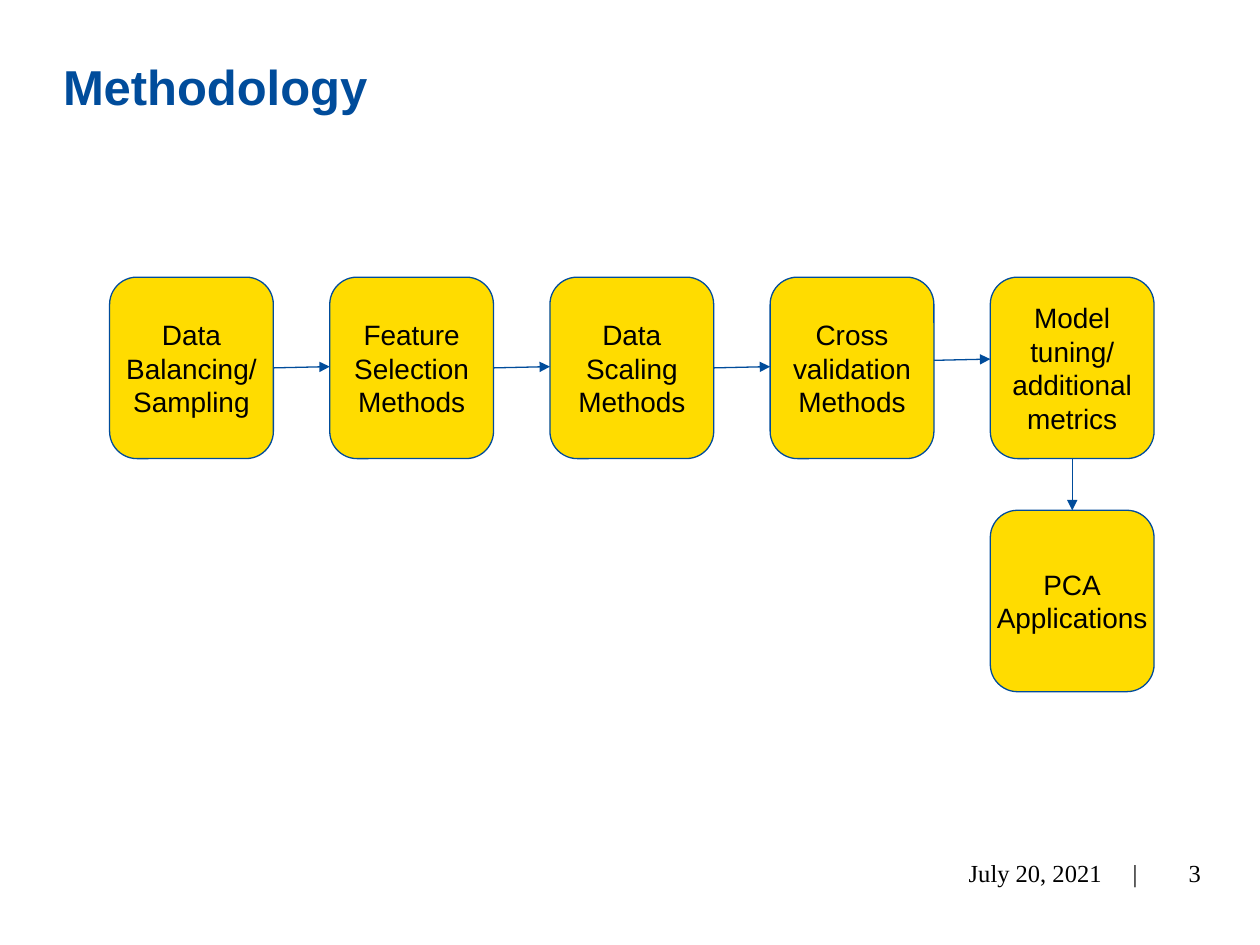
from dataclasses import dataclass

from lxml.etree import SubElement
from pptx import Presentation
from pptx.dml.color import RGBColor
from pptx.enum.shapes import MSO_CONNECTOR, MSO_SHAPE
from pptx.enum.text import MSO_ANCHOR, MSO_AUTO_SIZE, PP_ALIGN
from pptx.oxml.ns import qn
from pptx.slide import Slide
from pptx.text.text import TextFrame
from pptx.util import Inches, Pt


@dataclass(frozen=True)
class Theme:
    blue: RGBColor = RGBColor(0x00, 0x4C, 0x9B)
    yellow: RGBColor = RGBColor(0xFF, 0xDC, 0x00)
    black: RGBColor = RGBColor(0x00, 0x00, 0x00)
    sans: str = "Arial"
    serif: str = "Times New Roman"
    title_size: int = 28
    step_size: int = 16
    footer_size: int = 14
    line_width: float = 0.75


@dataclass(frozen=True)
class Step:
    text: str
    left: float
    top: float
    wrap: bool = True


THEME = Theme()
STEP_WIDTH, STEP_HEIGHT = 1.3, 1.44
ROW_LEFT, ROW_RIGHT, ROW_TOP = 0.87, 7.86, 2.2
APPLICATION_TOP = 4.05
ROW_TEXTS = (
    "Data Balancing/ Sampling",
    "Feature Selection Methods",
    "Data Scaling Methods",
    "Cross\nvalidation\nMethods",
    "Model tuning/ additional metrics",
)
ARROW_HEIGHTS = (2.92, 2.92, 2.92, 2.86)
ARROW_RISE = 0.01


def write_text(frame: TextFrame, text: str, *, size: float, font: str = THEME.sans,
               color: RGBColor = THEME.black, bold: bool = False,
               align: PP_ALIGN = PP_ALIGN.LEFT, anchor: MSO_ANCHOR = MSO_ANCHOR.MIDDLE,
               wrap: bool = True, side_margin: float = 0.1,
               line_spacing: float = 1.0, tab_stop: float | None = None) -> None:
    """Fill a frame with formatted text; each newline starts a paragraph."""
    frame.text = text
    frame.word_wrap = wrap
    frame.auto_size = MSO_AUTO_SIZE.NONE
    frame.vertical_anchor = anchor
    frame.margin_left = frame.margin_right = Inches(side_margin)
    frame.margin_top = frame.margin_bottom = Inches(0.05)
    for paragraph in frame.paragraphs:
        paragraph.alignment = align
        paragraph.line_spacing = line_spacing
        if tab_stop is not None:
            tabs = SubElement(paragraph._p.get_or_add_pPr(), qn("a:tabLst"))
            SubElement(tabs, qn("a:tab"), pos=str(Inches(tab_stop)), algn="l")
        for run in paragraph.runs:
            run.font.name = font
            run.font.size = Pt(size)
            run.font.bold = bold
            run.font.color.rgb = color


def add_title(slide: Slide, text: str) -> None:
    title = slide.shapes.title
    title.left, title.top = Inches(0.4), Inches(0.43)
    title.width, title.height = Inches(9.24), Inches(1.17)
    write_text(title.text_frame, text, size=THEME.title_size, color=THEME.blue,
               bold=True, anchor=MSO_ANCHOR.TOP, line_spacing=0.95)


def add_footer(slide: Slide, date: str, number: str) -> None:
    """Place the date with its divider, then the page number."""
    date_box = slide.shapes.add_textbox(Inches(7.59), Inches(6.73), Inches(1.54), Inches(0.4))
    write_text(date_box.text_frame, f"{date}\t|", size=THEME.footer_size,
               font=THEME.serif, tab_stop=1.3)
    number_box = slide.shapes.add_textbox(Inches(8.89), Inches(6.73), Inches(0.74), Inches(0.4))
    write_text(number_box.text_frame, number, size=THEME.footer_size,
               font=THEME.serif, align=PP_ALIGN.RIGHT)


def add_step(slide: Slide, step: Step) -> None:
    shape = slide.shapes.add_shape(
        MSO_SHAPE.ROUNDED_RECTANGLE, Inches(step.left), Inches(step.top),
        Inches(STEP_WIDTH), Inches(STEP_HEIGHT))
    shape.shadow.inherit = False
    shape.fill.solid()
    shape.fill.fore_color.rgb = THEME.yellow
    shape.line.color.rgb = THEME.blue
    shape.line.width = Pt(THEME.line_width)
    write_text(shape.text_frame, step.text, size=THEME.step_size,
               align=PP_ALIGN.CENTER, wrap=step.wrap, side_margin=0.04)


def add_arrow(slide: Slide, start: tuple[float, float], end: tuple[float, float]) -> None:
    arrow = slide.shapes.add_connector(
        MSO_CONNECTOR.STRAIGHT, *(Inches(length) for length in (*start, *end)))
    arrow.line.color.rgb = THEME.blue
    arrow.line.width = Pt(THEME.line_width)
    SubElement(arrow.line._get_or_add_ln(), qn("a:tailEnd"), type="triangle")
    SubElement(arrow._element.spPr, qn("a:effectLst"))


def main() -> None:
    presentation = Presentation()
    presentation.slide_width, presentation.slide_height = Inches(10), Inches(7.5)
    slide = presentation.slides.add_slide(presentation.slide_layouts.get_by_name("Title Only"))
    add_title(slide, "Methodology")
    add_footer(slide, "July 20, 2021", "3")

    pitch = (ROW_RIGHT - ROW_LEFT) / (len(ROW_TEXTS) - 1)
    row = [Step(text, ROW_LEFT + index * pitch, ROW_TOP)
           for index, text in enumerate(ROW_TEXTS)]
    application = Step("PCA\vApplications", ROW_RIGHT, APPLICATION_TOP, wrap=False)
    for step in (*row, application):
        add_step(slide, step)

    for source, target, height in zip(row, row[1:], ARROW_HEIGHTS):
        add_arrow(slide, (source.left + STEP_WIDTH, height),
                  (target.left, height - ARROW_RISE))
    center = ROW_RIGHT + STEP_WIDTH / 2
    add_arrow(slide, (center, ROW_TOP + STEP_HEIGHT), (center, APPLICATION_TOP))

    presentation.save("out.pptx")


if __name__ == "__main__":
    main()
